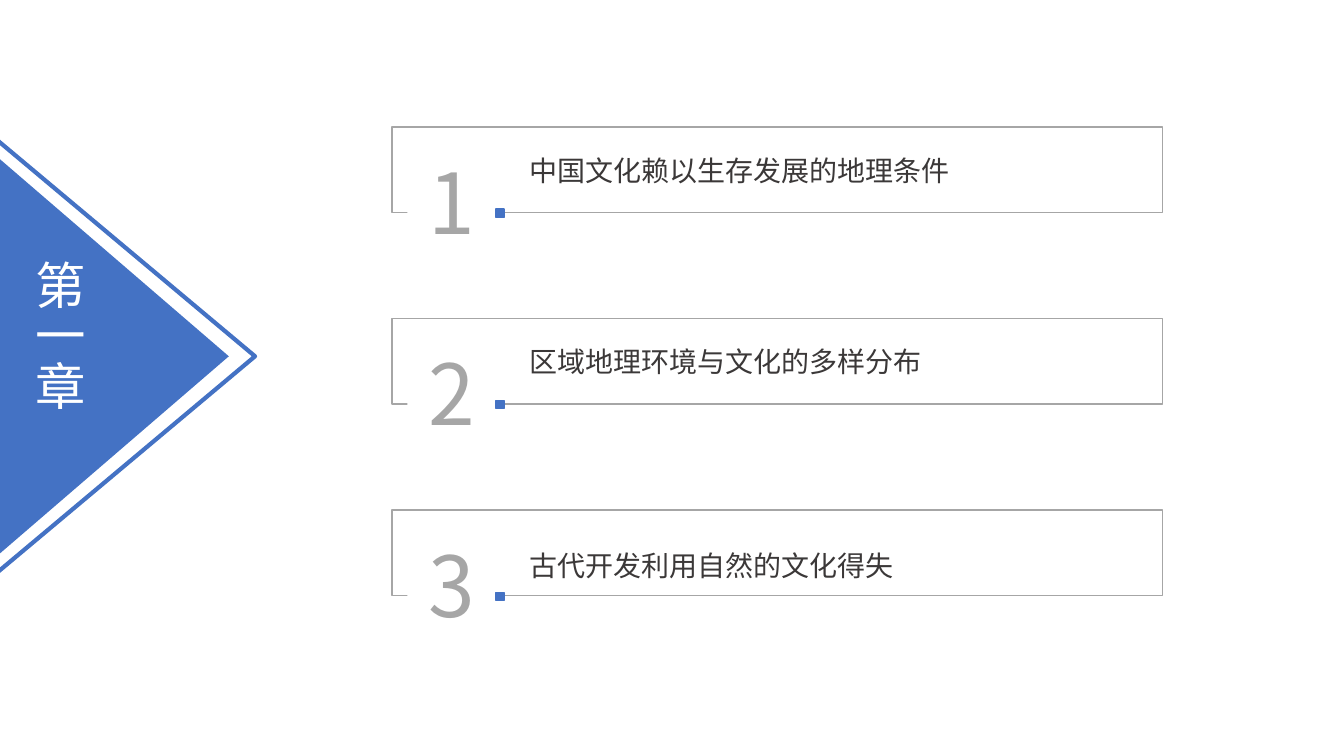
from dataclasses import dataclass

from lxml import etree
from pptx import Presentation
from pptx import util as u
from pptx.dml.color import RGBColor
from pptx.enum import shapes, text
from pptx.oxml.ns import qn
from pptx.shapes.base import BaseShape
from pptx.text.text import TextFrame

GRID_ROWS = 75
CELL = u.Inches(7.5) / GRID_ROWS
GRID_COLUMNS = 133.33


@dataclass(frozen=True)
class Theme:
    font: str = "Noto Sans CJK SC"
    accent: str = "4472C4"
    grey: str = "A6A6A6"
    ink: str = "3B3838"
    white: str = "FFFFFF"
    chapter_size: int = 36
    number_size: int = 60
    heading_size: int = 20
    thin: int = 1
    thick: int = 3


@dataclass(frozen=True)
class Box:
    """A place on the slide, in columns and rows of the grid."""
    column: float
    row: float
    columns: float
    rows: float

    def lengths(self) -> list[int]:
        return [round(value * CELL)
                for value in (self.column, self.row, self.columns, self.rows)]


@dataclass(frozen=True)
class Section:
    heading: str
    placeholder: int
    heading_offset: float = 2.1
    heading_rows: float = 4.4
    line_spacing: float = 1.0


THEME = Theme()
CHAPTER = "第一章"
SECTIONS = (
    Section("中国文化赖以生存发展的地理条件", 1),
    Section("区域地理环境与文化的多样分布", 2),
    Section("古代开发利用自然的文化得失", 3, -1.7, 9.4, 2.5),
)
FIRST_ROW, ROW_PITCH = 12.6, 19


def place(shape: BaseShape, box: Box) -> None:
    shape.left, shape.top, shape.width, shape.height = box.lengths()


def add_shape(parent, kind: shapes.MSO_SHAPE, box: Box, fill: str | None = None,
              line: str | None = None, line_width: int = THEME.thin) -> BaseShape:
    shape = parent.add_shape(kind, *box.lengths())
    shape.shadow.inherit = False
    if fill:
        shape.fill.solid()
        shape.fill.fore_color.rgb = RGBColor.from_string(fill)
    else:
        shape.fill.background()
    if line:
        shape.line.color.rgb = RGBColor.from_string(line)
        shape.line.width = u.Pt(line_width)
    else:
        shape.line.fill.background()
    return shape


def write(frame: TextFrame, words: str, size: int, color: str,
          alignment: text.PP_ALIGN, spacing: float = 1.0) -> None:
    paragraph = frame.paragraphs[0]
    paragraph.alignment = alignment
    paragraph.space_before = u.Pt(0)
    paragraph.line_spacing = spacing
    run = paragraph.add_run()
    run.text = words
    run.font.name = THEME.font
    run.font.size = u.Pt(size)
    run.font.bold = False
    run.font.color.rgb = RGBColor.from_string(color)
    etree.SubElement(run.font._element, qn("a:ea"), typeface=THEME.font)


def remove_bullet(frame: TextFrame) -> None:
    properties = frame.paragraphs[0]._p.get_or_add_pPr()
    properties.set("marL", "0")
    properties.set("indent", "0")
    etree.SubElement(properties, qn("a:buNone"))


def add_section(slide, number: int, section: Section) -> None:
    row = FIRST_ROW + (number - 1) * ROW_PITCH
    group = slide.shapes.add_group_shape().shapes
    rectangle = shapes.MSO_SHAPE.RECTANGLE
    add_shape(group, rectangle, Box(38.9, row, 76.4, 8.5), line=THEME.grey)
    badge = add_shape(group, rectangle, Box(40.4, row + 1.75, 8.8, 11.1), THEME.white)
    badge.text_frame.word_wrap = True
    badge.text_frame.vertical_anchor = text.MSO_ANCHOR.MIDDLE
    write(badge.text_frame, str(number), THEME.number_size, THEME.grey,
          text.PP_ALIGN.CENTER)
    add_shape(group, rectangle, Box(49.2, row + 8.15, 0.8, 0.8),
              THEME.accent, THEME.accent)

    heading = slide.placeholders[section.placeholder]
    place(heading, Box(51.5, row + section.heading_offset,
                       2.8 * len(section.heading) + 2.1, section.heading_rows))
    frame = heading.text_frame
    frame.word_wrap = False
    frame.auto_size = text.MSO_AUTO_SIZE.SHAPE_TO_FIT_TEXT
    frame.vertical_anchor = text.MSO_ANCHOR.TOP
    remove_bullet(frame)
    write(frame, section.heading, THEME.heading_size, THEME.ink,
          text.PP_ALIGN.LEFT, section.line_spacing)


def add_chapter(slide) -> None:
    triangle = shapes.MSO_SHAPE.ISOSCELES_TRIANGLE
    solid = add_shape(slide.shapes, triangle, Box(-8.2, 24, 39.1, 22.7), THEME.accent)
    outline = add_shape(slide.shapes, triangle, Box(-9.1, 22.5, 43.1, 25.7),
                        line=THEME.accent, line_width=THEME.thick)
    solid.rotation = outline.rotation = 90

    title = slide.shapes.title
    place(title, Box(1.7, 25.3, 8.1, 20.1))
    frame = title.text_frame
    frame.word_wrap = True
    frame.auto_size = text.MSO_AUTO_SIZE.SHAPE_TO_FIT_TEXT
    frame.vertical_anchor = text.MSO_ANCHOR.TOP
    frame._txBody.bodyPr.set("vert", "eaVert")
    write(frame, CHAPTER, THEME.chapter_size, THEME.white, text.PP_ALIGN.CENTER)
    outline._element.addprevious(title._element)


def main() -> None:
    presentation = Presentation()
    presentation.slide_width = round(GRID_COLUMNS * CELL)
    presentation.slide_height = round(GRID_ROWS * CELL)
    slide = presentation.slides.add_slide(
        presentation.slide_layouts.get_by_name("Comparison"))
    for number, section in enumerate(SECTIONS, start=1):
        add_section(slide, number, section)
    add_chapter(slide)
    for placeholder in list(slide.placeholders):
        if not placeholder.text_frame.text:
            placeholder._element.getparent().remove(placeholder._element)
    presentation.save("out.pptx")


if __name__ == "__main__":
    main()
